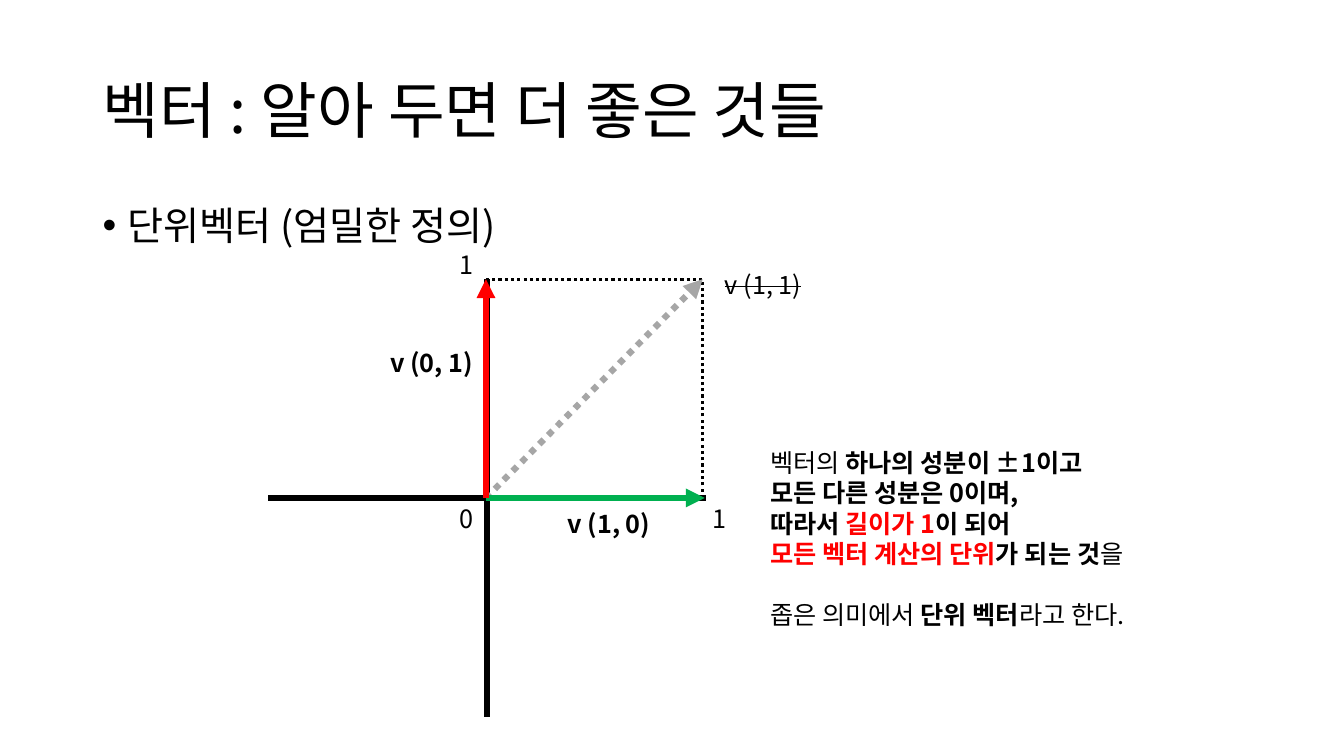
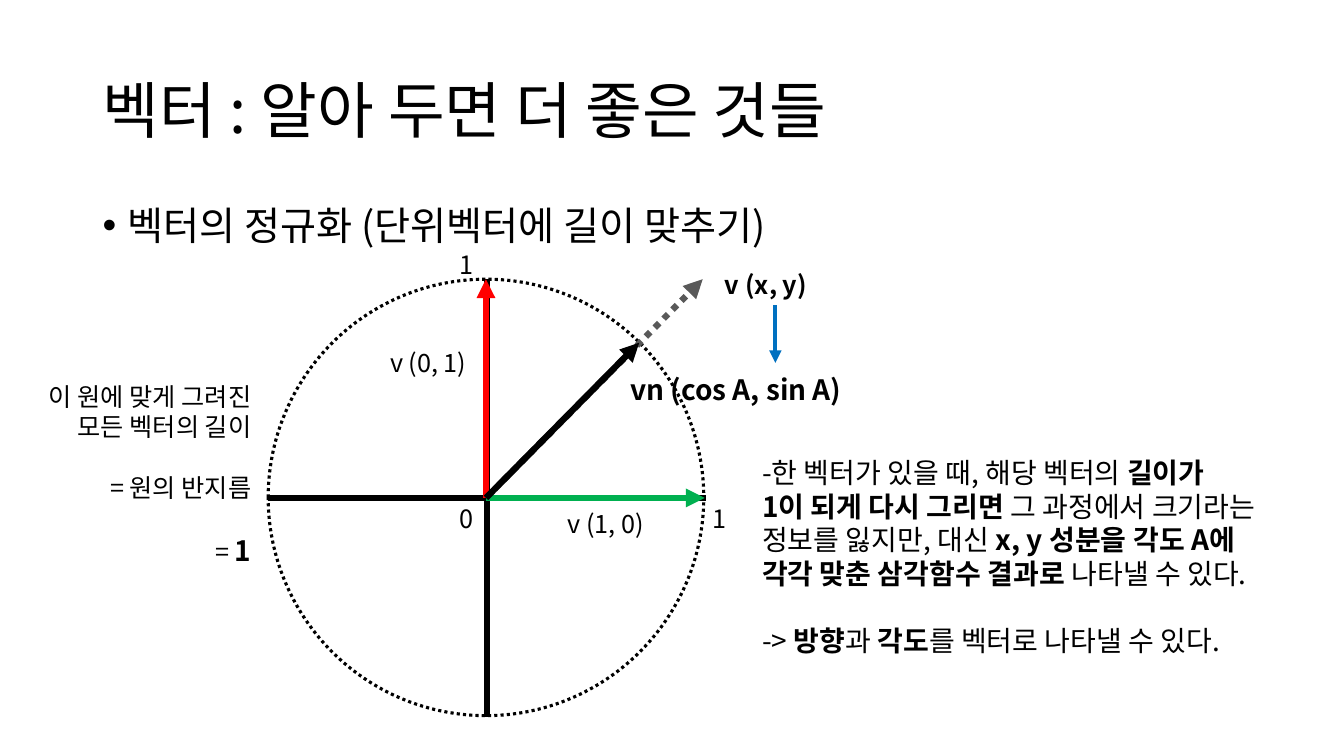
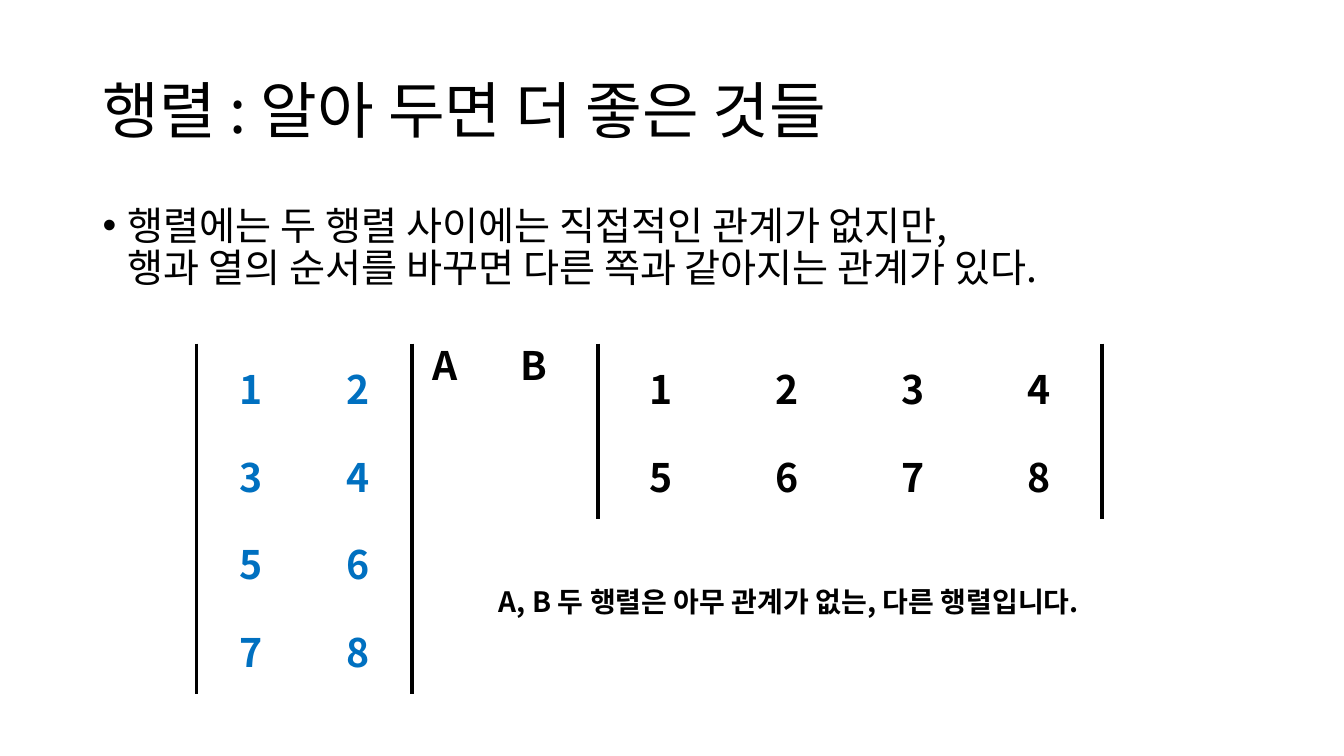
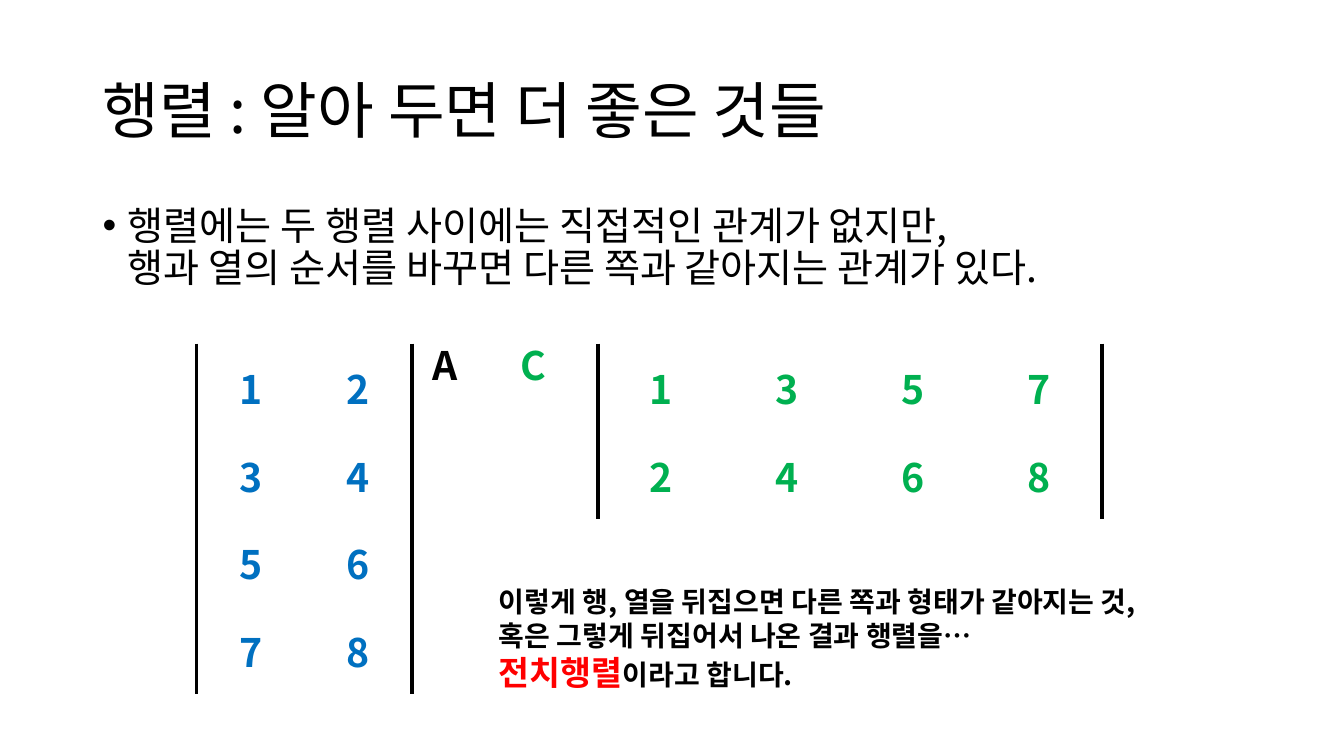
import pptx
import pptx.util
import pptx.dml.color
import pptx.enum.dml
import pptx.enum.shapes
import pptx.enum.text
import pptx.oxml
import pptx.oxml.ns
import lxml.etree

PX = 9144  # one px is a hundredth of an inch
FONT = "Noto Sans CJK KR"
NO_STYLE = "{2D5ABB26-0587-4C30-8999-92F81FD0307C}"
COLORS = {
    "black": "000000", "white": "FFFFFF", "red": "FF0000", "green": "00B050",
    "blue": "0070C0", "gray": "A6A6A6", "dark": "595959",
}
ALIGN = pptx.enum.text.PP_ALIGN
ANCHOR = pptx.enum.text.MSO_ANCHOR
DOTTED = pptx.enum.dml.MSO_LINE.ROUND_DOT
qn = pptx.oxml.ns.qn

BOLD = {"bold": True}
RED = {"bold": True, "color": "red"}
BIG = {"size": 20}
BLUE_CELL = {"size": 28, "bold": True, "color": "blue"}
BLACK_CELL = {"size": 28, "bold": True}
GREEN_CELL = {"size": 28, "bold": True, "color": "green"}


def rgb(name):
    return pptx.dml.color.RGBColor.from_string(COLORS[name])


def write(frame, paras, base, layout):
    """Fill a text frame; a paragraph is a list of (text, format) spans."""
    for index, spans in enumerate(paras):
        para = frame.paragraphs[0] if index == 0 else frame.add_paragraph()
        for name, value in layout.items():
            setattr(para, name, value)
        for text, extra in spans:
            if text == "gap":
                para.space_before = pptx.util.Pt(extra)
                continue
            if text == "break":
                para.add_line_break()
                continue
            span = para.add_run()
            span.text = text
            look = {"size": 18, "bold": False, "color": "black", **base, **extra}
            span.font.name = FONT
            span.font.size = pptx.util.Pt(look["size"])
            span.font.bold = look["bold"]
            span.font.color.rgb = rgb(look["color"])
            props = span.font._element
            lxml.etree.SubElement(props, qn("a:ea")).set("typeface", FONT)
            if "strike" in look:
                props.set("strike", "sngStrike")


# Axes: cell borders around the middle of a 2 by 2 table
AXES = {
    "at": (266, 277), "cell": (217, 217), "border": 4.5, "fill": None, "base": {},
    "rows": [["", ""], ["", ""]], "sides": [["RB", "LB"], ["RT", "LT"]],
}
AXIS_LABELS = [
    (446, 242, 97, 40, [[("1", {})]], {}),
    (697, 494, 97, 40, [[("1", {})]], {}),
    (446, 494, 97, 40, [[("0", {})]], {}),
]
UNIT_LINES = [
    (482, 494, 699, 494, "green", 4.5, False, True),
    (482, 494, 482, 277, "red", 4.5, False, True),
]

# Matrices: upright bars left and right
MATRIX_A = {
    "at": (195, 341), "cell": (107, 87), "border": 3, "fill": "white", "base": BLUE_CELL,
    "rows": ["12", "34", "56", "78"], "sides": [["L", "R"]] * 4,
}
MATRIX_B = {
    "at": (593, 341), "cell": (125, 87), "border": 3, "fill": "white", "base": BLACK_CELL,
    "rows": ["1234", "5678"], "sides": [["L", "", "", "R"]] * 2,
}
MATRIX_C = {**MATRIX_B, "base": GREEN_CELL, "rows": ["1357", "2468"]}
LABEL_A = (419, 334, 80, 57, [[("A", {})]], BLACK_CELL)

VECTOR_TITLE = "벡터 : 알아 두면 더 좋은 것들"
MATRIX_TITLE = "행렬 : 알아 두면 더 좋은 것들"
MATRIX_BULLET = [
    ("행렬에는 두 행렬 사이에는 직접적인 관계가 없지만,", {}),
    ("break", {}),
    ("행과 열의 순서를 바꾸면 다른 쪽과 같아지는 관계가 있다.", {}),
]

# Lines: x1, y1, x2, y2, color, width, dotted, arrow
# Texts: left, top, width, height, paragraphs, base format
SLIDES = [
    {
        "title": VECTOR_TITLE,
        "bullet": [("단위벡터 (엄밀한 정의)", {})],
        "tables": [AXES],
        "lines": [
            (482, 277, 699, 277, "black", 2.25, True, False),
            (697, 494, 697, 277, "black", 2.25, True, False),
            (482, 494, 697, 277, "gray", 4.5, True, True),
            *UNIT_LINES,
        ],
        "texts": AXIS_LABELS + [
            (709, 262, 199, 40, [[("v (1, 1)", {"strike": True})]], {}),
            (553, 499, 166, 40, [[("v (1, 0)", BOLD)]], {}),
            (377, 340, 166, 40, [[("v (0, 1)", BOLD)]], {}),
            (754, 439, 506, 192, [
                [("벡터의 ", {}), ("하나의 성분이 ±1이고", BOLD)],
                [("모든 다른 성분은 0이며,", BOLD)],
                [("따라서 ", BOLD), ("길이가 1", RED), ("이 되어", BOLD)],
                [("모든 벡터 계산의 단위", RED), ("가 되는 것", BOLD), ("을", {})],
                [("gap", 22), ("좁은 의미에서 ", {}), ("단위 벡터", BOLD), ("라고 한다.", {})],
            ], {}),
        ],
    },
    {
        "title": VECTOR_TITLE,
        "bullet": [("벡터의 정규화 (단위벡터에 길이 맞추기)", {})],
        "circle": (266, 277, 432, 433),
        "tables": [AXES],
        "lines": [
            (482, 494, 697, 277, "dark", 4.5, True, True),
            *UNIT_LINES,
            (482, 494, 634, 340, "black", 4.5, False, True),
            (769, 303, 769, 360, "blue", 3, False, True),
        ],
        "texts": AXIS_LABELS + [
            (709, 262, 199, 40, [[("v (x, y)", BOLD)]], {}),
            (553, 499, 166, 40, [[("v (1, 0)", {})]], {}),
            (377, 340, 166, 40, [[("v (0, 1)", {})]], {}),
            (746, 447, 580, 212, [
                [("-한 벡터가 있을 때, 해당 벡터의 ", {}), ("길이가", BOLD)],
                [("1이 되게 다시 그리면", BOLD),
                 (" 그 과정에서 크기라는 정보를 잃지만, 대신 ", {}),
                 ("x, y 성분을 각도 A에", BOLD)],
                [("각각 맞춘 삼각함수 결과로", BOLD), (" 나타낼 수 있다.", {})],
                [("gap", 24), ("-> ", {}), ("방향", BOLD), ("과 ", {}), ("각도", BOLD),
                 ("를 벡터로 나타낼 수 있다.", {})],
            ], BIG),
            (615, 365, 241, 44, [[("vn (cos A, sin A)", BOLD)]], BIG),
        ],
        "side_note": (10, 373, 249, 195, [
            [("이 원에 맞게 그려진", {})],
            [("모든 벡터의 길이", {})],
            [("gap", 22), ("= 원의 반지름", {})],
            [("gap", 22), ("= ", {}), ("1", {**BIG, **BOLD})],
        ], {}),
    },
    {
        "title": MATRIX_TITLE,
        "bullet": MATRIX_BULLET,
        "tables": [MATRIX_A, MATRIX_B],
        "texts": [
            (485, 575, 682, 44, [
                [("A, B 두 행렬은 아무 관계가 없는, 다른 행렬입니다.", BOLD)],
            ], BIG),
            LABEL_A,
            (506, 334, 80, 57, [[("B", {})]], BLACK_CELL),
        ],
    },
    {
        "title": MATRIX_TITLE,
        "bullet": MATRIX_BULLET,
        "tables": [MATRIX_A, MATRIX_C],
        "texts": [
            (485, 575, 792, 118, [
                [("이렇게 행, 열을 뒤집으면 다른 쪽과 형태가 같아지는 것,", BOLD)],
                [("혹은 그렇게 뒤집어서 나온 결과 행렬을…", BOLD)],
                [("전치행렬", {**RED, "size": 24}), ("이라고 합니다.", BOLD)],
            ], BIG),
            LABEL_A,
            (506, 334, 80, 57, [[("C", {})]], GREEN_CELL),
        ],
    },
]

deck = pptx.Presentation()
deck.slide_width, deck.slide_height = 1333 * PX, 750 * PX

for content in SLIDES:
    page = deck.slides.add_slide(deck.slide_layouts[6])

    # Unit circle
    if "circle" in content:
        circle = page.shapes.add_shape(
            pptx.enum.shapes.MSO_SHAPE.OVAL, *[n * PX for n in content["circle"]])
        circle.shadow.inherit = False
        circle.fill.background()
        circle.line.color.rgb = rgb("black")
        circle.line.width = pptx.util.Pt(2.25)
        circle.line.dash_style = DOTTED

    # Title
    box = page.shapes.add_textbox(92 * PX, 40 * PX, 1150 * PX, 145 * PX)
    box.text_frame.word_wrap = True
    box.text_frame.vertical_anchor = ANCHOR.MIDDLE
    write(box.text_frame, [[(content["title"], {})]], {"size": 44}, {"line_spacing": 0.9})

    # Bullet
    box = page.shapes.add_textbox(92 * PX, 200 * PX, 1150 * PX, 476 * PX)
    box.text_frame.word_wrap = True
    write(box.text_frame, [content["bullet"]], {"size": 28},
          {"line_spacing": 0.9, "space_before": pptx.util.Pt(10)})
    props = box.text_frame.paragraphs[0]._p.get_or_add_pPr()
    props.set("marL", str(25 * PX))
    props.set("indent", str(-25 * PX))
    lxml.etree.SubElement(props, qn("a:buFont")).set("typeface", "Arial")
    lxml.etree.SubElement(props, qn("a:buChar")).set("char", "•")

    # Tables
    for grid in content["tables"]:
        rows, (cell_width, cell_height) = grid["rows"], grid["cell"]
        holder = page.shapes.add_table(
            len(rows), len(rows[0]), *[n * PX for n in grid["at"]],
            cell_width * len(rows[0]) * PX, cell_height * len(rows) * PX)
        table = holder.table
        table.first_row = table.horz_banding = False
        for style in holder.element.iter(qn("a:tableStyleId")):
            style.text = NO_STYLE
        for r, row in enumerate(rows):
            for c, text in enumerate(row):
                cell = table.cell(r, c)
                cell.vertical_anchor = ANCHOR.MIDDLE
                if text:
                    write(cell.text_frame, [[(text, {})]], grid["base"],
                          {"alignment": ALIGN.CENTER})
                for side in grid["sides"][r][c]:
                    cell._tc.get_or_add_tcPr().append(pptx.oxml.parse_xml(
                        f'<a:ln{side} {pptx.oxml.ns.nsdecls("a")} w="{int(grid["border"] * 12700)}">'
                        f'<a:solidFill><a:srgbClr val="{COLORS["black"]}"/></a:solidFill>'
                        f'</a:ln{side}>'))
                if grid["fill"]:
                    cell.fill.solid()
                    cell.fill.fore_color.rgb = rgb(grid["fill"])
                else:
                    cell.fill.background()

    # Vectors and guides
    for x1, y1, x2, y2, color, width, dotted, arrow in content.get("lines", []):
        line = page.shapes.add_connector(
            pptx.enum.shapes.MSO_CONNECTOR.STRAIGHT, x1 * PX, y1 * PX, x2 * PX, y2 * PX)
        line.line.color.rgb = rgb(color)
        line.line.width = pptx.util.Pt(width)
        if dotted:
            line.line.dash_style = DOTTED
        if arrow:
            outline = line.line._get_or_add_ln()
            lxml.etree.SubElement(outline, qn("a:tailEnd")).set("type", "triangle")
        lxml.etree.SubElement(line.element.spPr, qn("a:effectLst"))

    # Labels and explanations
    notes = [(text, ALIGN.LEFT) for text in content["texts"]]
    if "side_note" in content:
        notes.append((content["side_note"], ALIGN.RIGHT))
    for (left, top, width, height, paras, base), alignment in notes:
        box = page.shapes.add_textbox(left * PX, top * PX, width * PX, height * PX)
        box.text_frame.word_wrap = True
        write(box.text_frame, paras, base, {"alignment": alignment})

deck.save("out.pptx")
